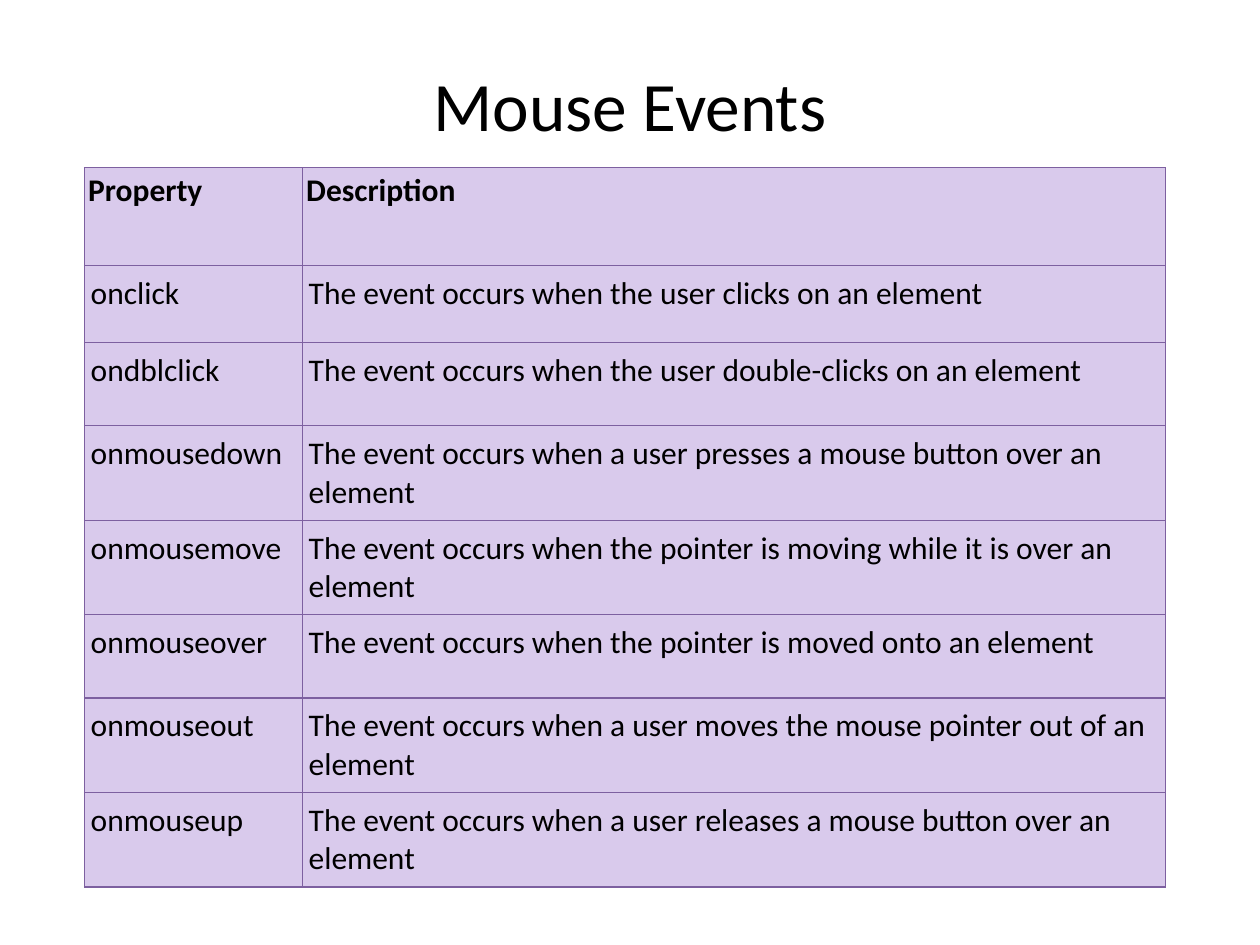
"""Build a slide with a table of mouse events."""
import dataclasses
import typing

import lxml.etree
import pptx
import pptx.dml.color
import pptx.enum.text
import pptx.oxml.ns
import pptx.util


@dataclasses.dataclass(frozen=True)
class Theme:
    """Colours, font and type sizes."""
    font: str = "Calibri"
    ink: str = "000000"
    fill: str = "D9CAEC"
    rule: str = "7D60A0"
    edge: float = 0.75
    head: float = 39.6
    body: float = 18


class Event(typing.NamedTuple):
    """One row of the table."""
    name: str
    text: str
    high: float = 0.66
    bold: bool = False
    pad: tuple[float, float] = (0.05, 0.07)


THEME = Theme()
WIDE, HIGH = 10, 7.5
COLS = (1.73, 6.85)
LEAD = "The event occurs when "
ROWS = (
    Event("Property", "Description", 0.78, True, (0.03, 0.03)),
    Event("onclick", LEAD + "the user clicks on an element", 0.61),
    Event("ondblclick", LEAD + "the user double-clicks on an element"),
    Event("onmousedown", LEAD + "a user presses a mouse button over an element"),
    Event("onmousemove", LEAD + "the pointer is moving while it is over an element"),
    Event("onmouseover", LEAD + "the pointer is moved onto an element"),
    Event("onmouseout", LEAD + "a user moves the mouse pointer out of an element"),
    Event("onmouseup", LEAD + "a user releases a mouse button over an element"),
)


def tint(code: str) -> pptx.dml.color.RGBColor:
    """Turn a hex code into a colour."""
    return pptx.dml.color.RGBColor.from_string(code)


def write(frame, text: str, *, size: float, bold: bool = False, align: str = "LEFT") -> None:
    """Put one formatted paragraph into a text frame."""
    para = frame.paragraphs[0]
    para.alignment = pptx.enum.text.PP_ALIGN[align]
    run = para.add_run()
    run.text = text
    run.font.name = THEME.font
    run.font.size = pptx.util.Pt(size)
    run.font.bold = bold
    run.font.color.rgb = tint(THEME.ink)


def border(cell) -> None:
    """Rule all four sides of a cell."""
    props = cell._tc.get_or_add_tcPr()
    name = pptx.oxml.ns.qn
    for side in "LRTB":
        line = lxml.etree.SubElement(props, name("a:ln" + side), w=str(pptx.util.Pt(THEME.edge)))
        fill = lxml.etree.SubElement(line, name("a:solidFill"))
        lxml.etree.SubElement(fill, name("a:srgbClr"), val=THEME.rule)


def draw_cell(cell, text: str, event: Event) -> None:
    """Format and fill one cell."""
    cell.margin_left = cell.margin_right = pptx.util.Inches(event.pad[0])
    cell.margin_top = cell.margin_bottom = pptx.util.Inches(event.pad[1])
    border(cell)
    cell.fill.solid()
    cell.fill.fore_color.rgb = tint(THEME.fill)
    write(cell.text_frame, text, size=THEME.body, bold=event.bold)


def draw_table(slide, rows: typing.Sequence[Event]) -> None:
    """Add the table of events."""
    box = (0.67, 1.33, sum(COLS), sum(row.high for row in rows))
    table = slide.shapes.add_table(len(rows), len(COLS), *map(pptx.util.Inches, box)).table
    table.first_row = table.horz_banding = False
    for col, wide in zip(table.columns, COLS):
        col.width = pptx.util.Inches(wide)
    for num, event in enumerate(rows):
        table.rows[num].height = pptx.util.Inches(event.high)
        for col, text in enumerate((event.name, event.text)):
            draw_cell(table.cell(num, col), text, event)


def draw_title(slide, text: str) -> None:
    """Place and format the title."""
    title = slide.shapes.title
    title.left, title.top = pptx.util.Inches(WIDE * 0.05), pptx.util.Inches(0.42)
    title.width, title.height = pptx.util.Inches(WIDE * 0.9), pptx.util.Inches(0.8)
    frame = title.text_frame
    frame.auto_size = pptx.enum.text.MSO_AUTO_SIZE.NONE
    frame.vertical_anchor = pptx.enum.text.MSO_ANCHOR.MIDDLE
    write(frame, text, size=THEME.head, align="CENTER")


def main() -> None:
    """Build and save the slide."""
    deck = pptx.Presentation()
    deck.slide_width = pptx.util.Inches(WIDE)
    deck.slide_height = pptx.util.Inches(HIGH)
    slide = deck.slides.add_slide(deck.slide_layouts[5])
    draw_title(slide, "Mouse Events")
    draw_table(slide, ROWS)
    deck.save("out.pptx")


if __name__ == "__main__":
    main()
